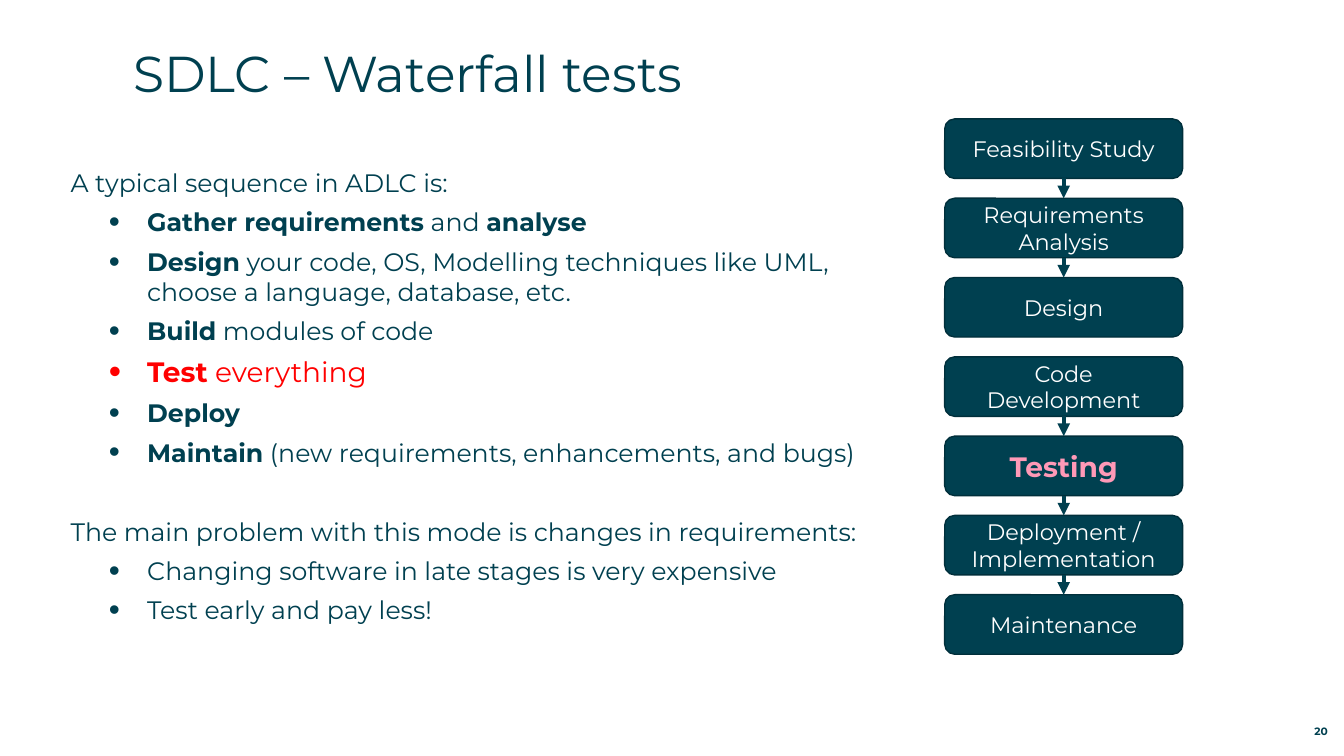
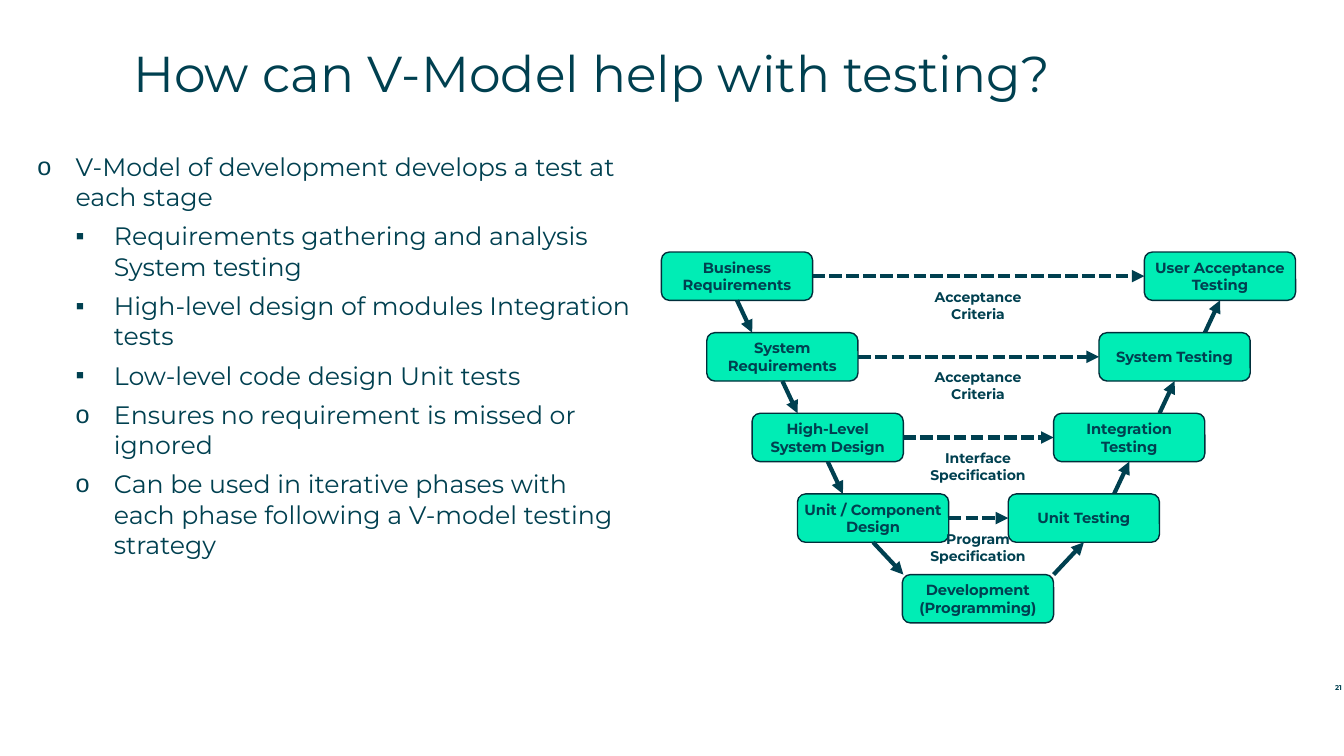
"""Two slides on testing in software life cycles: the waterfall and the V-model."""
from lxml.etree import SubElement
from pptx import Presentation
from pptx.dml.color import RGBColor
from pptx.enum.dml import MSO_LINE
from pptx.enum.shapes import MSO_CONNECTOR, MSO_SHAPE
from pptx.enum.text import MSO_ANCHOR as ANCHOR, MSO_AUTO_SIZE, PP_ALIGN as ALIGN
from pptx.oxml.ns import qn
from pptx.util import Inches, Pt

TEAL = RGBColor(0x00, 0x40, 0x50)
EDGE = RGBColor(0x00, 0x2F, 0x3B)
MINT = RGBColor(0x00, 0xED, 0xB5)
PINK = RGBColor(0xFF, 0x99, 0xB7)
RED = RGBColor(0xFF, 0x00, 0x00)
WHITE = RGBColor(0xFF, 0xFF, 0xFF)
FONT = "Montserrat"
TOP, LEFT, BOTTOM, RIGHT = range(4)
INDENT = 0.38
FRAME = dict(margin_left=0, margin_right=0, margin_top=0, margin_bottom=0,
             word_wrap=True, auto_size=MSO_AUTO_SIZE.NONE)


def add_box(s, text, x, y, w, h, fill=None, color=TEAL, margin=0.04,
            anchor=ANCHOR.MIDDLE, align=ALIGN.CENTER, **fmt):
    at = [Inches(v) for v in (x, y, w, h)]
    if fill is None:
        sp = s.shapes.add_textbox(*at)
    else:
        sp = s.shapes.add_shape(MSO_SHAPE.ROUNDED_RECTANGLE, *at)
        sp.shadow.inherit = False
        sp.fill.solid()
        sp.fill.fore_color.rgb = fill
        sp.line.color.rgb = EDGE
        sp.line.width = Pt(1)
    tf = sp.text_frame
    tf.text = text
    tf.word_wrap = True
    tf.vertical_anchor = anchor
    for side in ("left", "right", "top", "bottom"):
        setattr(tf, f"margin_{side}", Inches(margin))
    for p in tf.paragraphs:
        p.alignment = align
        for r in p.runs:
            r.font.name = FONT
            r.font.color.rgb = color
            for key, value in fmt.items():
                setattr(r.font, key, value)
    return sp


def add_arrow(s, points=(0, 0, 0, 0), begin=None, end=None, dash=None):
    c = s.shapes.add_connector(MSO_CONNECTOR.STRAIGHT, *[Inches(v) for v in points])
    if begin:
        c.begin_connect(*begin)
    if end:
        c.end_connect(*end)
    c.line.color.rgb = TEAL
    c.line.width = Pt(3)
    if dash:
        c.line.dash_style = dash
    spPr = c.element.spPr
    SubElement(spPr.find(qn("a:ln")), qn("a:tailEnd"), type="triangle")
    SubElement(spPr, qn("a:effectLst"))


prs = Presentation()
prs.slide_width, prs.slide_height = Inches(13.33), Inches(7.5)
layout = prs.slide_layouts[1]

BIG_RED = dict(size=Pt(20), color=RED)
PAGES = [
    dict(title="SDLC – Waterfall tests", body=(0.7, 1.66, 11.94, 5.42),
         number=("20", 12.31, 7.12, 7.6), items=[
             (0, "", "A typical sequence in ADLC is:", {}),
             (1, "•", "*Gather requirements* and *analyse*", {}),
             (1, "•", "*Design* your code, OS, Modelling techniques like UML,\n"
                      "choose a language, database, etc.", {}),
             (1, "•", "*Build* modules of code", {}),
             (1, "•", "*Test* everything", BIG_RED),
             (1, "•", "*Deploy*", {}),
             (1, "•", "*Maintain* (new requirements, enhancements, and bugs)", {}),
             (0, "", "The main problem with this mode is changes in requirements:",
              dict(before=Pt(28.4))),
             (1, "•", "Changing software in late stages is very expensive", {}),
             (1, "•", "Test early and pay less!", {})]),
    dict(title="How can V-Model help with testing?", body=(0.37, 1.5, 6.18, 5.42),
         number=("21", 12.45, 6.66, 5), items=[
             (0, "o", "V-Model of development develops a test at each stage", {}),
             (1, "▪", "Requirements gathering and analysis System testing", {}),
             (1, "▪", "High-level design of modules Integration tests", {}),
             (1, "▪", "Low-level code design Unit tests", {}),
             (1, "o", "Ensures no requirement is missed or ignored", {}),
             (1, "o", "Can be used in iterative phases with\n"
                      "each phase following a V-model testing strategy", {})]),
]

for page in PAGES:
    s = prs.slides.add_slide(layout)
    title, body = s.shapes.title, s.placeholders[1]
    for sp, at in ((title, (1.32, 0.42, 11.65, 0.88)), (body, page["body"])):
        sp.left, sp.top, sp.width, sp.height = [Inches(v) for v in at]
        for key, value in FRAME.items():
            setattr(sp.text_frame, key, value)
        sp.text_frame.vertical_anchor = ANCHOR.TOP

    p = title.text_frame.paragraphs[0]
    p.alignment = ALIGN.LEFT
    r = p.add_run()
    r.text = page["title"]
    r.font.name, r.font.size = FONT, Pt(36)
    r.font.color.rgb = TEAL

    tf = body.text_frame
    for i, (level, bullet, text, fmt) in enumerate(page["items"]):
        p = tf.add_paragraph() if i else tf.paragraphs[0]
        p.level = level
        p.space_before, p.space_after = fmt.get("before", Pt(0)), Pt(6.5)
        pPr = p._p.get_or_add_pPr()
        steps = level + 1 if bullet else 0
        pPr.set("marL", str(Inches(INDENT * steps)))
        pPr.set("indent", str(Inches(-INDENT if bullet else 0)))
        if bullet:
            SubElement(pPr, qn("a:buSzPct"), val="125000" if bullet == "•" else "100000")
            SubElement(pPr, qn("a:buChar"), char=bullet)
        else:
            SubElement(pPr, qn("a:buNone"))
        for j, part in enumerate(text.split("*")):
            for k, line in enumerate(part.split("\n")):
                if k:
                    p.add_line_break()
                if line:
                    r = p.add_run()
                    r.text = line
                    r.font.name, r.font.bold = FONT, j % 2 == 1
                    r.font.size = fmt.get("size", Pt(18))
                    r.font.color.rgb = fmt.get("color", TEAL)

    number, x, y, size = page["number"]
    add_box(s, number, x, y, 0.86, 0.2, margin=0, anchor=ANCHOR.BOTTOM,
            align=ALIGN.RIGHT, size=Pt(size), bold=True)

waterfall, v_model = prs.slides

STAGES = ["Feasibility Study", "Requirements Analysis", "Design", "Code Development",
          "Testing", "Deployment / Implementation", "Maintenance"]
STAGE_TOP, STAGE_ROW = 1.18, (5.9 - 1.18) / (len(STAGES) - 1)
previous = None
for row, name in enumerate(STAGES):
    fmt = dict(color=WHITE, size=Pt(16))
    if name == "Testing":
        fmt = dict(color=PINK, size=Pt(20), bold=True)
    stage = add_box(waterfall, name, 9.37, STAGE_TOP + row * STAGE_ROW, 2.36, 0.59,
                    TEAL, margin=0.1, **fmt)
    if previous and name != "Code Development":
        add_arrow(waterfall, begin=(previous, BOTTOM), end=(stage, TOP))
    previous = stage

LEVELS = [
    ("Business Requirements", "Acceptance Criteria", "User Acceptance Testing"),
    ("System Requirements", "Acceptance Criteria", "System Testing"),
    ("High-Level\nSystem Design", "Interface Specification", "Integration Testing"),
    ("Unit / Component\nDesign", "Program\nSpecification", "Unit Testing"),
]
V_LEFT, V_RIGHT, V_TOP = 6.56, 11.35, 2.5
COL, ROW, W, H = 0.45, 0.8, 1.5, 0.48
BOX = dict(w=W, h=H, fill=MINT, size=Pt(10.5), bold=True)
for row, (design, criteria, test) in enumerate(LEVELS):
    x1, x2, y = V_LEFT + row * COL, V_RIGHT - row * COL, V_TOP + row * ROW
    source = add_box(v_model, design, x1, y, **BOX)
    target = add_box(v_model, test, x2, y, **BOX)
    add_box(v_model, criteria, 9.1, y + 0.32, 1.2, H, anchor=ANCHOR.TOP,
            size=Pt(10), bold=True)
    add_arrow(v_model, begin=(source, RIGHT), end=(target, LEFT),
              dash=MSO_LINE.SQUARE_DOT)
    shift = 0.3 if row == len(LEVELS) - 1 else 0.15
    down, up = x1 + W / 2, x2 + W / 2
    add_arrow(v_model, (down, y + H, down + shift, y + ROW), begin=(source, BOTTOM))
    add_arrow(v_model, (up - shift, y + ROW, up, y + H), end=(target, BOTTOM))
add_box(v_model, "Development (Programming)", 8.95, V_TOP + len(LEVELS) * ROW, **BOX)

prs.save("out.pptx")
